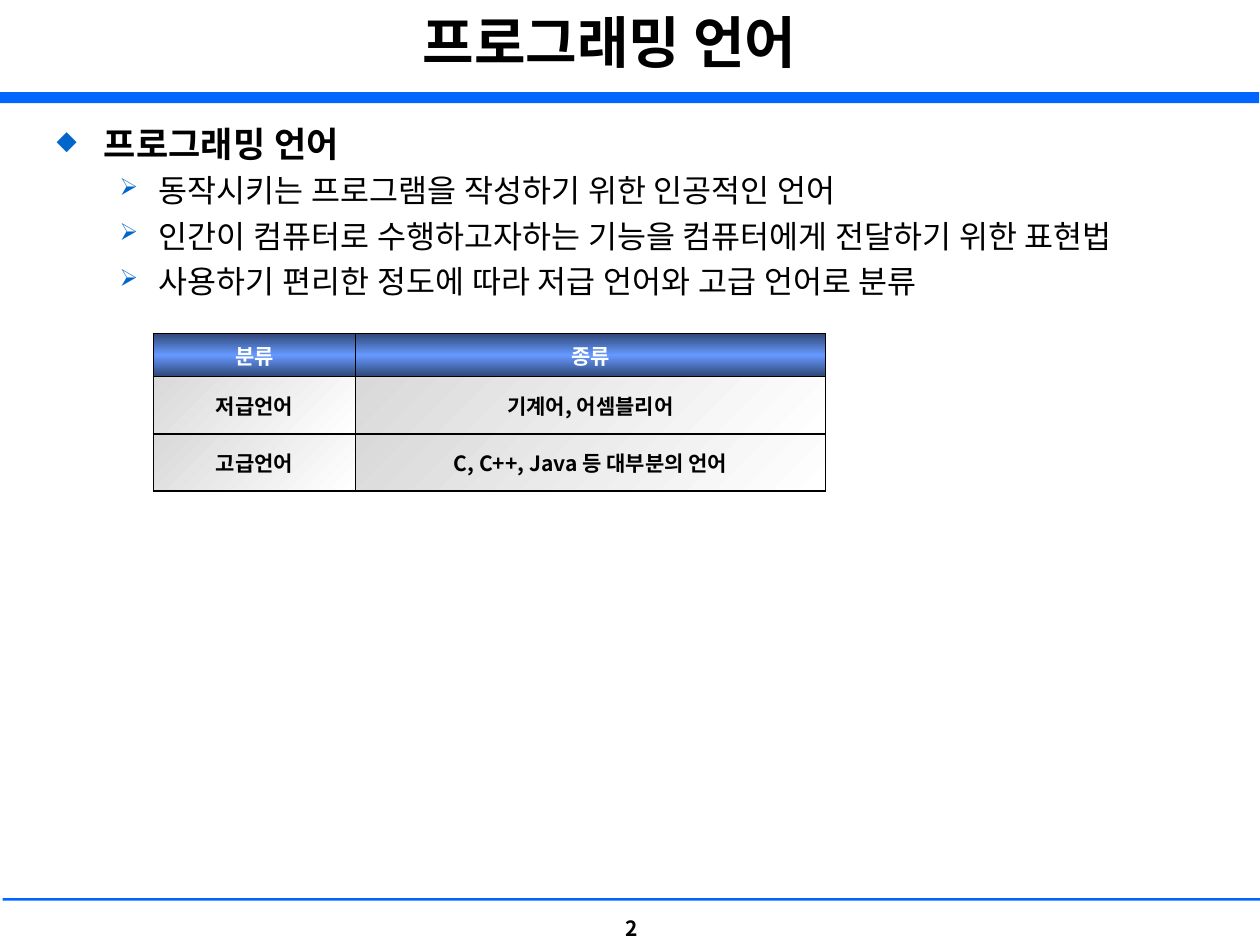
import dataclasses

import lxml.etree
import pptx
import pptx.dml.color
import pptx.enum.shapes
import pptx.enum.text
import pptx.oxml
import pptx.oxml.ns
import pptx.util

Pt = pptx.util.Pt
qn = pptx.oxml.ns.qn
Align = pptx.enum.text.PP_ALIGN
Anchor = pptx.enum.text.MSO_ANCHOR


@dataclasses.dataclass(frozen=True)
class Theme:
    heading_font: str = "Noto Sans CJK KR"
    body_font: str = "Roboto"
    ink: str = "000000"
    white: str = "FFFFFF"
    rule: str = "0066FF"
    bullet: str = "0066CC"
    header_fill: tuple = ("2F4776", "6699FF", "2F4776")
    cell_fill: tuple = ("D9D9D9", "FFFFFF")
    title_size: int = 32
    topic_size: int = 20
    point_size: int = 18
    small_size: int = 12


def add_node(parent, tag, **attributes):
    """Append a drawing element with the given attributes."""
    node = lxml.etree.SubElement(parent, qn(tag))
    for name, value in attributes.items():
        node.set(name, str(value))
    return node


class SlideBuilder:
    """Hold the theme and the current slide, and draw each kind of element."""

    def __init__(self, slide, theme):
        self.slide = slide
        self.theme = theme

    def style(self, paragraph, size, font, color=None, bold=True):
        """Set the type of a whole paragraph."""
        paragraph.font.size = Pt(size)
        paragraph.font.bold = bold
        paragraph.font.color.rgb = pptx.dml.color.RGBColor.from_string(color or self.theme.ink)
        paragraph.font.name = font
        add_node(paragraph.font._element, "a:ea", typeface=font)

    def frame(self, left, top, width, height, anchor=Anchor.TOP):
        """Add a wrapping text box and return its text frame."""
        frame = self.slide.shapes.add_textbox(Pt(left), Pt(top), Pt(width), Pt(height)).text_frame
        frame.word_wrap = True
        frame.vertical_anchor = anchor
        return frame

    def label(self, text, box, size, anchor=Anchor.TOP):
        """Add one centred bold line."""
        line = self.frame(*box, anchor).paragraphs[0]
        line.text = text
        line.alignment = Align.CENTER
        self.style(line, size, self.theme.heading_font)

    def bar(self, left, top, width, height):
        """Add a solid horizontal rule."""
        rule = self.slide.shapes.add_shape(
            pptx.enum.shapes.MSO_SHAPE.RECTANGLE, Pt(left), Pt(top), Pt(width), Pt(height))
        rule.shadow.inherit = False
        rule.fill.solid()
        rule.fill.fore_color.rgb = pptx.dml.color.RGBColor.from_string(self.theme.rule)
        rule.line.fill.background()

    def bullet(self, paragraph, mark, margin, hang):
        """Give a paragraph a coloured bullet and a hanging indent."""
        properties = paragraph._p.get_or_add_pPr()
        properties.set("marL", str(Pt(margin)))
        properties.set("indent", str(-Pt(hang)))
        color = pptx.oxml.parse_xml(f'<a:buClr {pptx.oxml.ns.nsdecls("a")}/>')
        add_node(color, "a:srgbClr", val=self.theme.bullet)
        properties.find(qn("a:defRPr")).addprevious(color)
        size = add_node(properties, "a:buSzPct", val=75000)
        sign = add_node(properties, "a:buChar", char=mark)
        color.addnext(size)
        size.addnext(sign)

    def outline(self, topic, points, box):
        """Add a bold topic with bulleted points below it."""
        frame = self.frame(*box)
        heading = frame.paragraphs[0]
        heading.text = topic
        self.style(heading, self.theme.topic_size, self.theme.body_font)
        self.bullet(heading, "◆", 27, 27)
        for point in points:
            item = frame.add_paragraph()
            item.text = point
            item.level = 1
            item.space_before = Pt(4.2)
            self.style(item, self.theme.point_size, self.theme.body_font, bold=False)
            self.bullet(item, "➢", 58.5, 22.5)

    def paint_cell(self, cell, colors, angle):
        """Give a cell thin borders and an even linear gradient."""
        properties = cell._tc.get_or_add_tcPr()
        for side in ("a:lnL", "a:lnR", "a:lnT", "a:lnB"):
            border = add_node(properties, side, w=Pt(1))
            add_node(add_node(border, "a:solidFill"), "a:srgbClr", val=self.theme.ink)
        gradient = add_node(properties, "a:gradFill", rotWithShape=1)
        stops = add_node(gradient, "a:gsLst")
        for index, color in enumerate(colors):
            stop = add_node(stops, "a:gs", pos=100000 * index // (len(colors) - 1))
            add_node(stop, "a:srgbClr", val=color)
        add_node(gradient, "a:lin", ang=angle * 60000, scaled=0)

    def table(self, rows, left, top, widths, heights):
        """Add a table with a header row."""
        grid = self.slide.shapes.add_table(
            len(rows), len(widths), Pt(left), Pt(top), Pt(sum(widths)), Pt(sum(heights))).table
        grid.horz_banding = False
        for column, width in zip(grid.columns, widths):
            column.width = Pt(width)
        for number, (row, height, texts) in enumerate(zip(grid.rows, heights, rows)):
            row.height = Pt(height)
            is_header = number == 0
            for cell, text in zip(row.cells, texts):
                cell.vertical_anchor = Anchor.MIDDLE
                line = cell.text_frame.paragraphs[0]
                line.text = text
                line.alignment = Align.CENTER
                self.style(line, self.theme.small_size, self.theme.heading_font,
                           self.theme.white if is_header else self.theme.ink)
                if is_header:
                    self.paint_cell(cell, self.theme.header_fill, 90)
                else:
                    self.paint_cell(cell, self.theme.cell_fill, 45)


def main():
    """Build the slide on programming languages."""
    deck = pptx.Presentation()
    deck.slide_width, deck.slide_height = Pt(720), Pt(540)
    theme = Theme()
    page = SlideBuilder(deck.slides.add_slide(deck.slide_layouts[6]), theme)

    page.label("2", (330.5, 516.2, 61, 28), theme.small_size, Anchor.MIDDLE)
    page.bar(0, 52.7, 719.5, 6.2)
    page.bar(1.5, 513.2, 719, 1.5)
    page.label("프로그래밍 언어", (24.5, 0.7, 648, 56), theme.title_size)
    page.outline("프로그래밍 언어", (
        "동작시키는 프로그램을 작성하기 위한 인공적인 언어",
        "인간이 컴퓨터로 수행하고자하는 기능을 컴퓨터에게 전달하기 위한 표현법",
        "사용하기 편리한 정도에 따라 저급 언어와 고급 언어로 분류",
    ), (25.2, 66.2, 663, 442))
    page.table((
        ("분류", "종류"),
        ("저급언어", "기계어, 어셈블리어"),
        ("고급언어", "C, C++, Java 등 대부분의 언어"),
    ), 87.7, 190.6, (115.4, 268.6), (24.6, 32.7, 32.7))
    deck.save("out.pptx")


if __name__ == "__main__":
    main()
